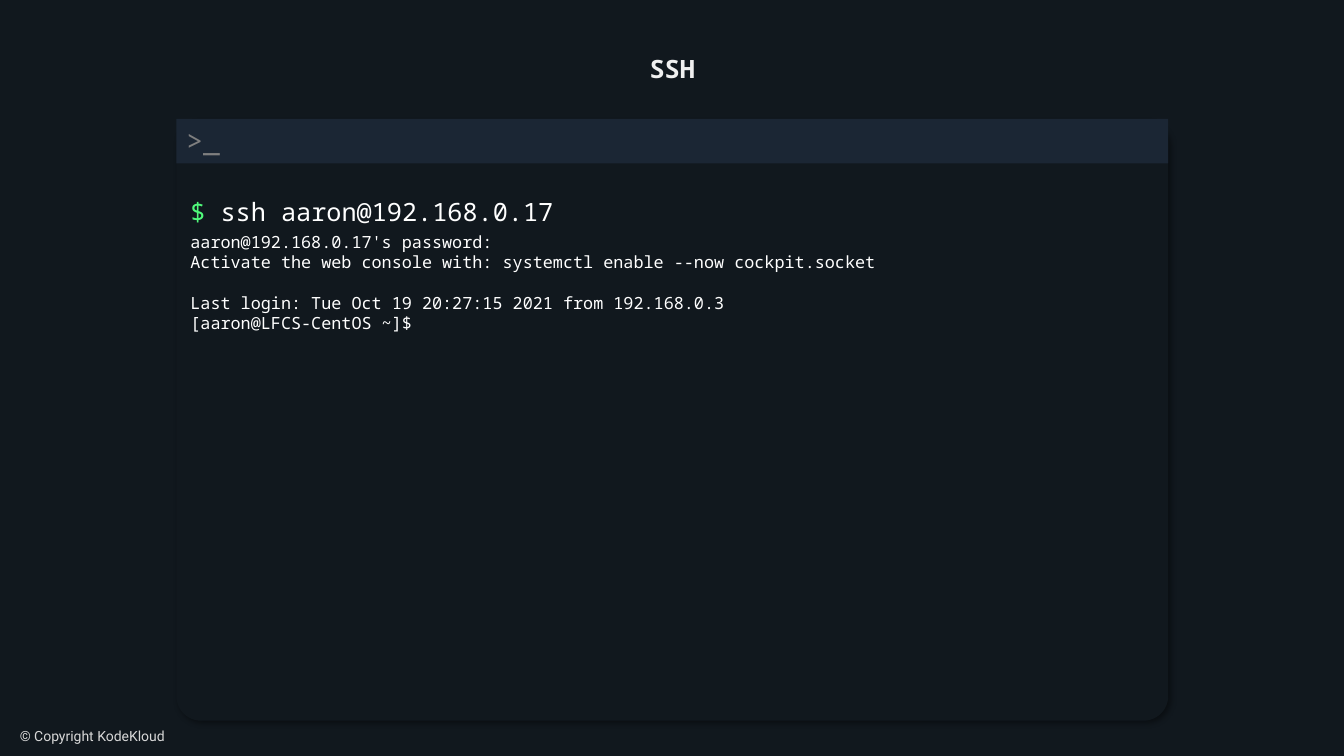
from dataclasses import dataclass
from typing import Any, Optional

import lxml.etree
import pptx
import pptx.dml.color
import pptx.enum.shapes
import pptx.enum.text
import pptx.oxml.ns
import pptx.util

Pt = pptx.util.Pt
RGBColor = pptx.dml.color.RGBColor
Shape = pptx.enum.shapes.MSO_SHAPE
Align = pptx.enum.text.PP_ALIGN
Anchor = pptx.enum.text.MSO_ANCHOR

NIGHT = RGBColor(0x11, 0x18, 0x1E)
NAVY = RGBColor(0x1B, 0x26, 0x34)
WHITE = RGBColor(0xFF, 0xFF, 0xFF)
PALE = RGBColor(0xF0, 0xF0, 0xF0)
SILVER = RGBColor(0xD8, 0xD8, 0xD8)
GRAY = RGBColor(0x7F, 0x7F, 0x7F)
GREEN = RGBColor(0x50, 0xFA, 0x7B)

MONO = "Noto Sans Mono"
OUTPUT_LINE = 14.5


@dataclass(frozen=True)
class Run:
    text: str
    color: RGBColor


@dataclass(frozen=True)
class Line:
    runs: tuple[Run, ...]
    space_before: float = 0


@dataclass(frozen=True)
class Box:
    left: float
    top: float
    width: float
    height: float
    lines: tuple[Line, ...] = ()
    size: float = 18
    font: str = MONO
    bold: bool = False
    alignment: Any = Align.LEFT
    anchor: Any = Anchor.TOP
    margin: float = 3.6
    preset: Any = None
    fill: Optional[RGBColor] = None
    corner: Optional[float] = None
    shadow: bool = False


def line(text: str, color: RGBColor, space_before: float = 0) -> Line:
    return Line((Run(text, color),), space_before)


def apply_format(target: Any, values: dict[str, Any]) -> None:
    for name, value in values.items():
        setattr(target, name, value)


def add_shadow(shape: Any) -> None:
    qn = pptx.oxml.ns.qn
    effects = shape._element.spPr.find(qn("a:effectLst"))
    outer = lxml.etree.SubElement(
        effects, qn("a:outerShdw"), blurRad=str(Pt(4)), dist=str(Pt(3)),
        dir=str(45 * 60000), algn="tl", rotWithShape="0")
    color = lxml.etree.SubElement(outer, qn("a:srgbClr"), val="000000")
    lxml.etree.SubElement(color, qn("a:alpha"), val="40000")


def write_lines(shape: Any, box: Box) -> None:
    frame = shape.text_frame
    apply_format(frame, {
        "word_wrap": True,
        "auto_size": pptx.enum.text.MSO_AUTO_SIZE.SHAPE_TO_FIT_TEXT,
        "vertical_anchor": box.anchor,
        "margin_left": Pt(7.2), "margin_right": Pt(7.2),
        "margin_top": Pt(box.margin), "margin_bottom": Pt(box.margin),
    })
    for index, text_line in enumerate(box.lines):
        paragraph = frame.add_paragraph() if index else frame.paragraphs[0]
        paragraph.alignment = box.alignment
        if text_line.space_before:
            paragraph.space_before = Pt(text_line.space_before)
        for piece in text_line.runs:
            run = paragraph.add_run()
            run.text = piece.text
            apply_format(run.font, {"name": box.font, "size": Pt(box.size), "bold": box.bold})
            run.font.color.rgb = piece.color


def draw_box(slide: Any, box: Box) -> None:
    place = [Pt(value) for value in (box.left, box.top, box.width, box.height)]
    if box.preset is None:
        shape = slide.shapes.add_textbox(*place)
    else:
        shape = slide.shapes.add_shape(box.preset, *place)
        shape.shadow.inherit = False
        shape.fill.solid()
        shape.fill.fore_color.rgb = box.fill
        shape.line.fill.background()
    if box.corner is not None:
        shape.adjustments[0] = box.corner
    if box.shadow:
        add_shadow(shape)
    if box.lines:
        write_lines(shape, box)


COPYRIGHT = Box(0, 513.4, 131.8, 26.6, (line("© Copyright KodeKloud", SILVER),),
                size=10, font="Roboto", alignment=Align.CENTER, margin=7.2)
TERMINAL = Box(126, 85.7, 708.5, 429.1, preset=Shape.ROUNDED_RECTANGLE,
               fill=NIGHT, corner=0.041, shadow=True)
TITLE_BAR = Box(126, 85, 708.5, 31.7, (line(">_", GRAY),), size=20,
                preset=Shape.ROUNDED_RECTANGLE, fill=NAVY, corner=0)
TITLE = Box(339.1, 34.6, 282.2, 28.8, (line("SSH", PALE),),
            bold=True, alignment=Align.CENTER)
COMMAND = Box(128.9, 136.8, 519.8, 28.8,
              (Line((Run("$", GREEN), Run(" ssh aaron@192.168.0.17", WHITE))),),
              anchor=Anchor.MIDDLE, preset=Shape.RECTANGLE, fill=NIGHT)
OUTPUT = Box(128.9, 162, 504.7, 79.9, (
    line("aaron@192.168.0.17's password:", WHITE),
    line("Activate the web console with: systemctl enable --now cockpit.socket", WHITE),
    line("Last login: Tue Oct 19 20:27:15 2021 from 192.168.0.3", WHITE, OUTPUT_LINE),
    line("[aaron@LFCS-CentOS ~]$", WHITE),
), size=12, preset=Shape.RECTANGLE, fill=NIGHT)


def main() -> None:
    presentation = pptx.Presentation()
    apply_format(presentation, {"slide_width": Pt(960), "slide_height": Pt(540)})
    slide = presentation.slides.add_slide(presentation.slide_layouts[6])
    slide.background.fill.solid()
    slide.background.fill.fore_color.rgb = NIGHT
    for box in (COPYRIGHT, TERMINAL, TITLE_BAR, TITLE, COMMAND, OUTPUT):
        draw_box(slide, box)
    presentation.save("out.pptx")


if __name__ == "__main__":
    main()
